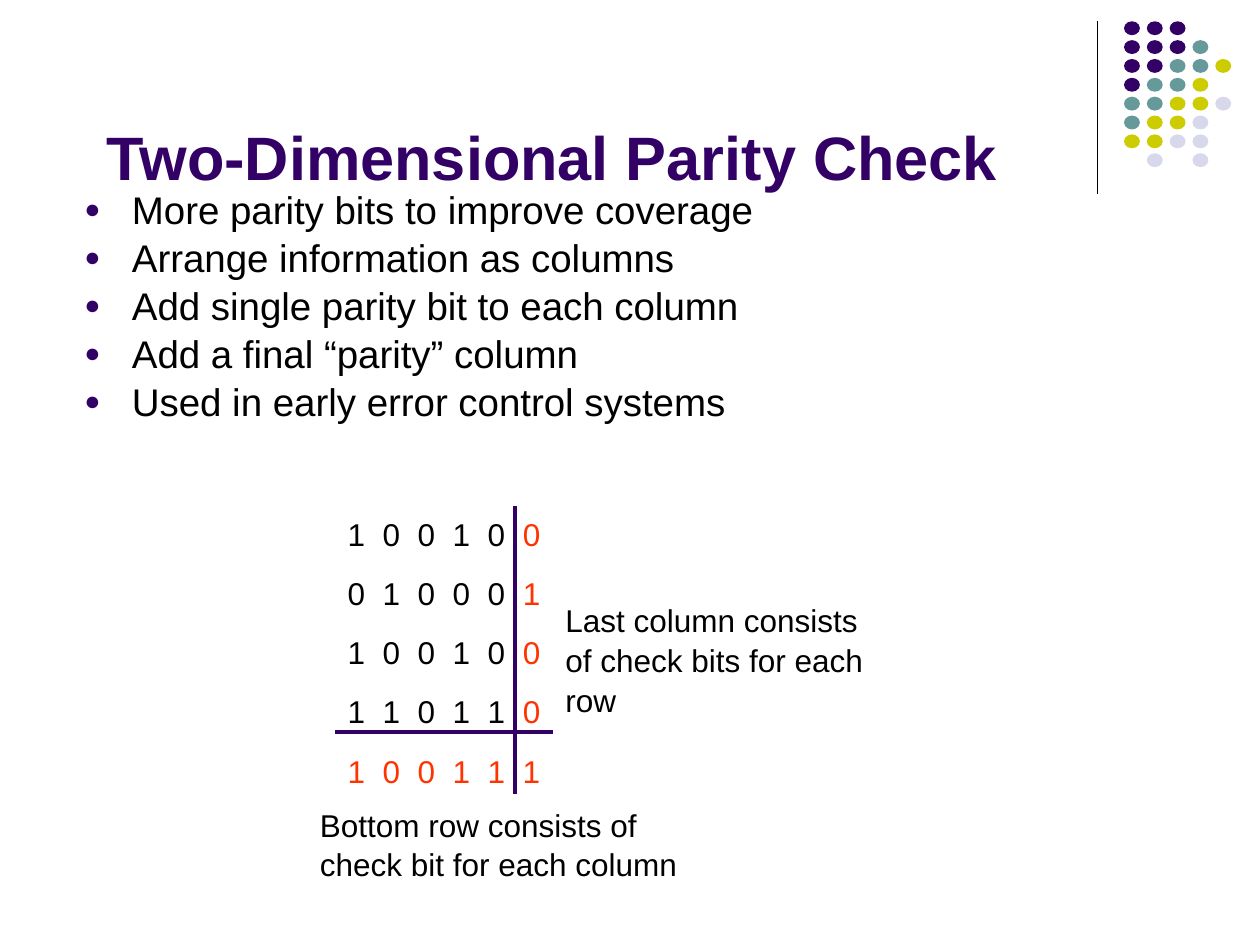
import pptx
import pptx.util
import pptx.dml.color
import pptx.enum.shapes
import pptx.enum.text
from lxml import etree
import pptx.oxml.ns

Cm = pptx.util.Cm
Pt = pptx.util.Pt
RGBColor = pptx.dml.color.RGBColor

PURPLE = RGBColor(0x33, 0x00, 0x66)
TEAL = RGBColor(0x66, 0x99, 0x99)
OLIVE = RGBColor(0xCC, 0xCC, 0x00)
LAVENDER = RGBColor(0xD8, 0xD8, 0xEC)
RED = RGBColor(0xFF, 0x33, 0x00)
BLACK = RGBColor(0x00, 0x00, 0x00)
FONT = "Arial"

# Content
TITLE = "Two-Dimensional Parity Check"
BULLETS = [
    "More parity bits to improve coverage",
    "Arrange information as columns",
    "Add single parity bit to each column",
    "Add a final “parity” column",
    "Used in early error control systems",
]
BITS = ["100100", "010001", "100100", "110110", "100111"]
# Text, left, top, width, height in cm
CAPTIONS = [
    ("Bottom row consists of check bit for each column", 6.2, 16.08, 8.05, 1.78),
    ("Last column consists of check bits for each row", 11.15, 11.96, 6.7, 2.54),
]
# Start, end in cm, colour, width in points
LINES = [
    ((22.12, 0.43), (22.12, 3.91), BLACK, 0.75),
    ((10.39, 10.21), (10.39, 16.0), PURPLE, 2.25),
    ((6.76, 14.76), (11.15, 14.76), PURPLE, 2.25),
]
# One letter per dot, a point where there is none
DOT_ROWS = ["PPP", "PPPT", "PPTTO", "PTTO", "TTOOL", "TOOL", "OOLL", ".L.L"]
DOT_COLOURS = {"P": PURPLE, "T": TEAL, "O": OLIVE, "L": LAVENDER}
DOT_LEFT, DOT_TOP, DOT_STEP_X, DOT_STEP_Y = 22.66, 0.43, 0.46, 0.38


def add_text_box(slide, left, top, width, height):
    frame = slide.shapes.add_textbox(Cm(left), Cm(top), Cm(width), Cm(height)).text_frame
    frame.word_wrap = True
    return frame


def fill_paragraphs(frame, texts, size, colour, bold=False, spacing=None, before=0):
    frame.text = "\n".join(texts)
    for paragraph in frame.paragraphs:
        paragraph.line_spacing = spacing
        paragraph.space_before = Pt(before)
        for run in paragraph.runs:
            format_run(run, size, colour, bold)


def format_run(run, size, colour, bold=False):
    run.font.name = FONT
    run.font.size = Pt(size)
    run.font.bold = bold
    run.font.color.rgb = colour


def add_bullet(paragraph):
    properties = paragraph._p.get_or_add_pPr()
    properties.set("marL", str(Cm(0.96)))
    properties.set("indent", str(-Cm(0.96)))
    colour = etree.SubElement(properties, pptx.oxml.ns.qn("a:buClr"))
    etree.SubElement(colour, pptx.oxml.ns.qn("a:srgbClr"), val=str(PURPLE))
    etree.SubElement(properties, pptx.oxml.ns.qn("a:buSzPct"), val="70000")
    etree.SubElement(properties, pptx.oxml.ns.qn("a:buFont"), typeface=FONT)
    etree.SubElement(properties, pptx.oxml.ns.qn("a:buChar"), char="●")


def add_line(slide, start, end, colour, width):
    line = slide.shapes.add_connector(
        pptx.enum.shapes.MSO_CONNECTOR.STRAIGHT, *map(Cm, start + end))
    line.line.color.rgb = colour
    line.line.width = Pt(width)
    etree.SubElement(line._element.spPr, pptx.oxml.ns.qn("a:effectLst"))


def add_dots(slide):
    for row, letters in enumerate(DOT_ROWS):
        for column, letter in enumerate(letters):
            if letter not in DOT_COLOURS:
                continue
            dot = slide.shapes.add_shape(
                pptx.enum.shapes.MSO_SHAPE.OVAL,
                Cm(DOT_LEFT + column * DOT_STEP_X), Cm(DOT_TOP + row * DOT_STEP_Y),
                Cm(0.32), Cm(0.28))
            dot.shadow.inherit = False
            dot.fill.solid()
            dot.fill.fore_color.rgb = DOT_COLOURS[letter]
            dot.line.fill.background()


def add_bits(slide):
    frame = add_text_box(slide, 6.76, 10.21, 5.28, 5.66)
    for row, bits in enumerate(BITS):
        paragraph = frame.paragraphs[0] if row == 0 else frame.add_paragraph()
        paragraph.space_before = Pt(11.2)
        paragraph.line_spacing = 1.05
        last_row = row == len(BITS) - 1
        data, check = paragraph.add_run(), paragraph.add_run()
        data.text = "  ".join(bits[:-1]) + "  "
        check.text = bits[-1]
        format_run(data, 18, RED if last_row else BLACK)
        format_run(check, 18, RED)


def main():
    presentation = pptx.Presentation()
    presentation.slide_width, presentation.slide_height = Cm(25.4), Cm(19.05)
    slide = presentation.slides.add_slide(presentation.slide_layouts[6])

    # Corner decoration
    add_dots(slide)

    # Title
    title = add_text_box(slide, 1.9, 0.84, 21.6, 3.18)
    title.vertical_anchor = pptx.enum.text.MSO_ANCHOR.BOTTOM
    fill_paragraphs(title, [TITLE], 35, PURPLE, bold=True)

    # Parity table with its rules and captions
    add_bits(slide)
    for line in LINES:
        add_line(slide, *line)
    for text, *place in CAPTIONS:
        fill_paragraphs(add_text_box(slide, *place), [text], 18, BLACK, spacing=1.05)

    # Bullet list
    body = add_text_box(slide, 1.45, 3.78, 22.86, 5.18)
    fill_paragraphs(body, BULLETS, 22, BLACK, spacing=0.83, before=5.5)
    for paragraph in body.paragraphs:
        add_bullet(paragraph)

    presentation.save("out.pptx")


if __name__ == "__main__":
    main()
